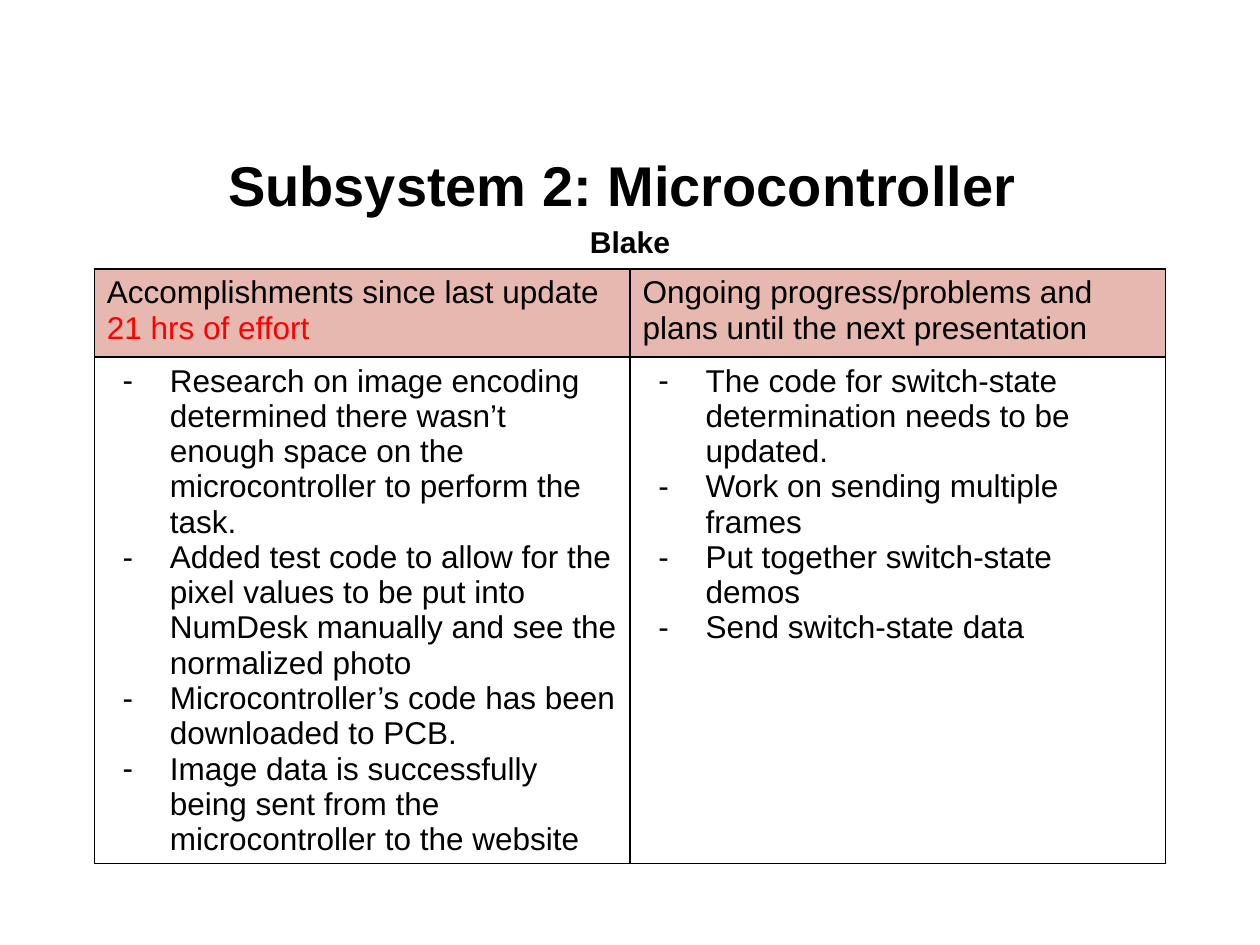
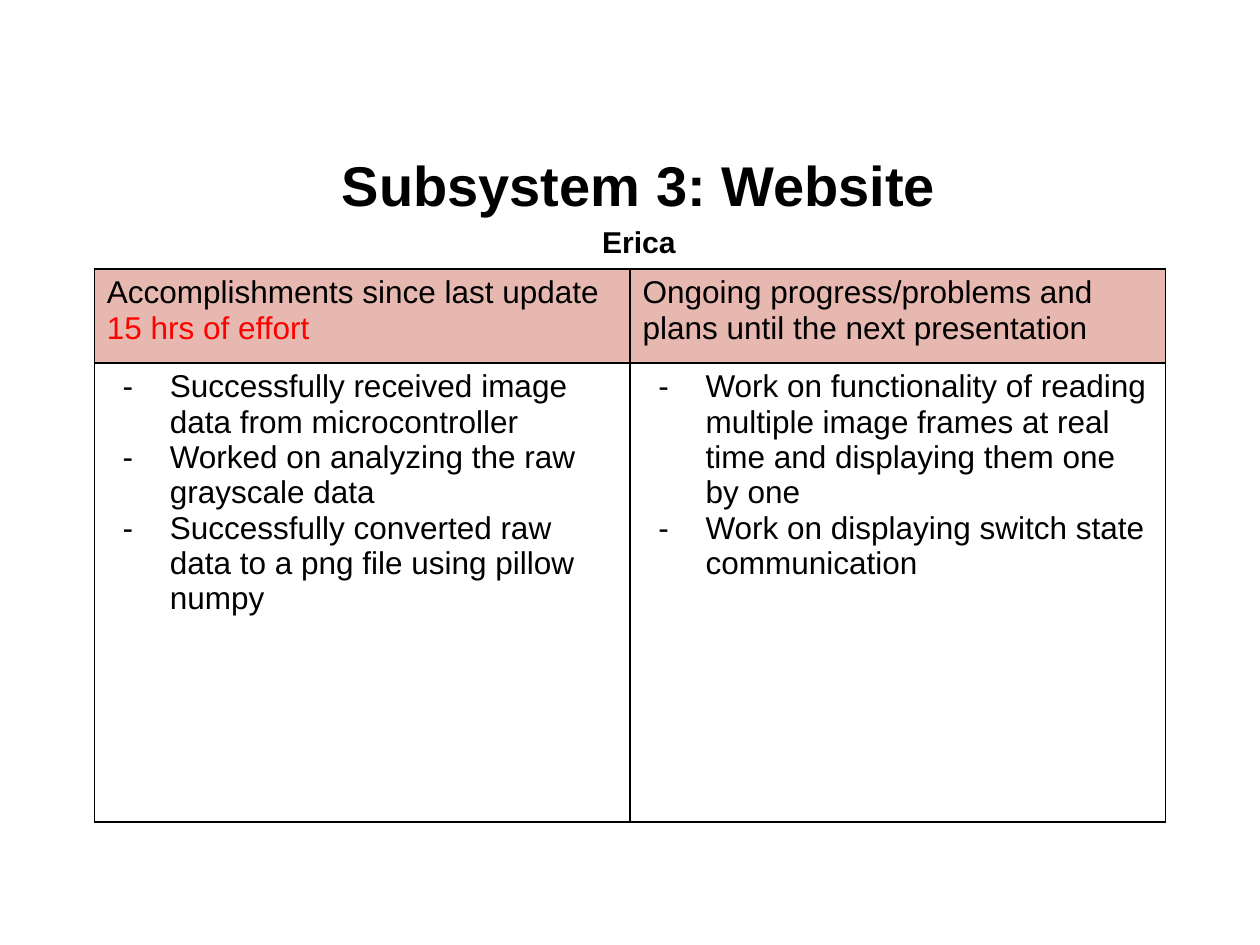
from lxml import etree
from pptx import Presentation
from pptx.dml.color import RGBColor
from pptx.enum.text import MSO_ANCHOR, MSO_AUTO_SIZE, PP_ALIGN
from pptx.oxml.ns import qn
from pptx.util import Cm, Pt

CENTER = PP_ALIGN.CENTER
MIDDLE = MSO_ANCHOR.MIDDLE
NO_AUTOFIT = MSO_AUTO_SIZE.NONE

COLORS = {"ink": "000000", "effort": "FF0000", "header": "E6B8AF"}
FONT = "Arial"
TITLE_ONLY = 5

UPDATES = [
    {
        "title": "Subsystem 2: Microcontroller ",
        "presenter": "Blake",
        "title_left": 1.27,
        "effort": "21 hrs of effort",
        "row_heights": (1.78, 4.83),
        "accomplishments": [
            "Research on image encoding determined there wasn’t enough space on the "
            "microcontroller to perform the task.",
            "Added test code to allow for the pixel values to be put into NumDesk manually "
            "and see the normalized photo",
            "Microcontroller’s code has been downloaded to PCB.",
            "Image data is successfully being sent from the microcontroller to the website",
        ],
        "plans": [
            "The code for switch-state determination needs to be updated.",
            "Work on sending multiple frames",
            "Put together switch-state demos",
            "Send switch-state data",
        ],
    },
    {
        "title": "Subsystem 3: Website",
        "presenter": "Erica",
        "title_left": 1.45,
        "effort": "15 hrs of effort",
        "row_heights": (1.9, 9.25),
        "accomplishments": [
            "Successfully received image data from microcontroller",
            "Worked on analyzing the raw grayscale data",
            "Successfully converted raw data to a png file using pillow numpy",
        ],
        "plans": [
            "Work on functionality of reading multiple image frames at real time and "
            "displaying them one by one",
            "Work on displaying switch state communication",
        ],
    },
]


class UpdateDeck:
    def __init__(self):
        self.deck = Presentation()
        self.deck.slide_width, self.deck.slide_height = Cm(25.4), Cm(19.05)
        self.slide = None

    def add_slide(self):
        self.slide = self.deck.slides.add_slide(self.deck.slide_layouts[TITLE_ONLY])

    def add_run(self, paragraph, text, size=18, color="ink", bold=False):
        run = paragraph.add_run()
        run.text = text
        run.font.name = FONT
        run.font.size = Pt(size)
        run.font.bold = bold
        run.font.color.rgb = RGBColor.from_string(COLORS[color])

    def paragraph(self, frame, index):
        return frame.paragraphs[0] if index == 0 else frame.add_paragraph()

    def add_title(self, title, presenter, left):
        heading = self.slide.shapes.title
        heading.left, heading.top = Cm(left), Cm(2.91)
        heading.width, heading.height = Cm(22.86), Cm(2.24)
        frame = heading.text_frame
        frame.word_wrap = True
        frame.auto_size = NO_AUTOFIT
        frame.vertical_anchor = MIDDLE
        for index, (text, size) in enumerate([(title, 32), (presenter, 17.2)]):
            line = self.paragraph(frame, index)
            line.alignment = CENTER
            line.line_spacing = 1.15
            self.add_run(line, text, size, bold=True)

    def add_borders(self, cell):
        properties = cell._tc.get_or_add_tcPr()
        for side in ("lnL", "lnR", "lnT", "lnB"):
            border = etree.SubElement(properties, qn(f"a:{side}"), w=str(Pt(1)))
            fill = etree.SubElement(border, qn("a:solidFill"))
            etree.SubElement(fill, qn("a:srgbClr"), val=COLORS["ink"])

    def add_dashes(self, cell, items):
        for index, item in enumerate(items):
            point = self.paragraph(cell.text_frame, index)
            properties = point._p.get_or_add_pPr()
            properties.set("marL", str(Cm(1.27)))
            properties.set("indent", str(Cm(-0.95)))
            bullet_color = etree.SubElement(properties, qn("a:buClr"))
            etree.SubElement(bullet_color, qn("a:srgbClr"), val=COLORS["ink"])
            etree.SubElement(properties, qn("a:buFont"), typeface=FONT)
            etree.SubElement(properties, qn("a:buChar"), char="-")
            self.add_run(point, item)

    def add_progress_table(self, effort, accomplishments, plans, row_heights):
        table = self.slide.shapes.add_table(
            2, 2, Cm(1.9), Cm(5.42), Cm(21.6), Cm(sum(row_heights))
        ).table
        table.first_row = table.horz_banding = False
        for row, height in zip(table.rows, row_heights):
            row.height = Cm(height)
        for cell in table.iter_cells():
            self.add_borders(cell)
            cell.fill.background()

        headers = [
            [("Accomplishments since last update ", "ink"), (effort, "effort")],
            [("Ongoing progress/problems and plans until the next presentation", "ink")],
        ]
        for column, (header, items) in enumerate(zip(headers, (accomplishments, plans))):
            header_cell = table.cell(0, column)
            header_cell.fill.solid()
            header_cell.fill.fore_color.rgb = RGBColor.from_string(COLORS["header"])
            for text, color in header:
                self.add_run(header_cell.text_frame.paragraphs[0], text, color=color)
            self.add_dashes(table.cell(1, column), items)


def main():
    builder = UpdateDeck()
    for update in UPDATES:
        builder.add_slide()
        builder.add_title(update["title"], update["presenter"], update["title_left"])
        builder.add_progress_table(
            update["effort"], update["accomplishments"], update["plans"], update["row_heights"]
        )
    builder.deck.save("out.pptx")


if __name__ == "__main__":
    main()
